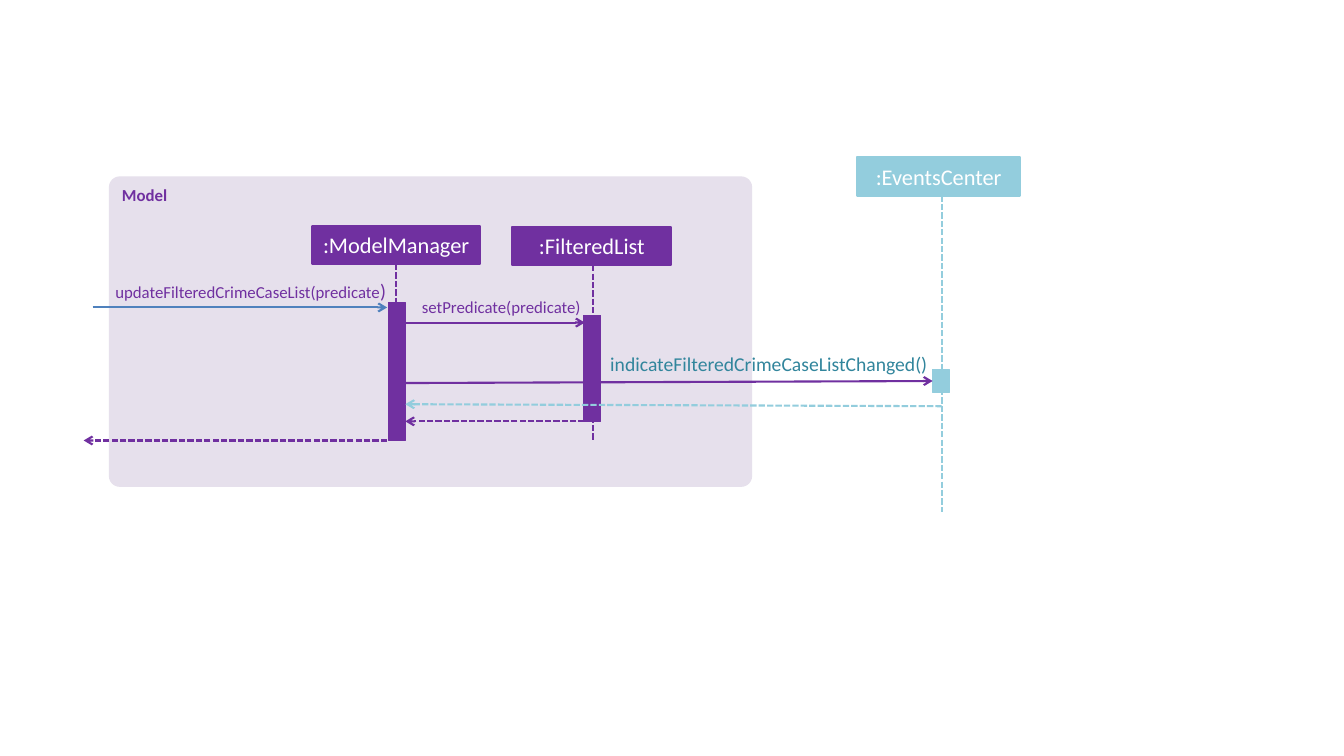
import pptx
import pptx.util
import pptx.dml.color
import pptx.enum.dml
import pptx.enum.shapes
import pptx.enum.text
import pptx.oxml.ns
import lxml.etree

PX = 9144
COLORS = {
    "panel": "E6E0EC",
    "model": "7030A0",
    "events": "93CDDD",
    "event_text": "31859C",
    "caller": "4F81BD",
    "white": "FFFFFF",
}
SHAPE = pptx.enum.shapes.MSO_SHAPE
ALIGN = pptx.enum.text.PP_ALIGN
ANCHOR = pptx.enum.text.MSO_ANCHOR


def px(*lengths):
    """Turn px lengths into EMU."""
    return [pptx.util.Emu(n * PX) for n in lengths]


def rgb(name):
    """Look up a named colour."""
    return pptx.dml.color.RGBColor.from_string(COLORS[name])


def write(sp, text, size=12, color="model", bold=False, align=ALIGN.LEFT, anchor=ANCHOR.TOP):
    """Append a formatted run to the first paragraph of a shape."""
    tf = sp.text_frame
    tf.word_wrap = True
    tf.vertical_anchor = anchor
    p = tf.paragraphs[0]
    p.alignment = align
    r = p.add_run()
    r.text = text
    r.font.name = "Calibri"
    r.font.size = pptx.util.Pt(size)
    r.font.bold = bold
    r.font.color.rgb = rgb(color)


def add_block(s, box, fill, width=None, kind=SHAPE.RECTANGLE):
    """Add a filled shape, outlined in its own colour if a width is given."""
    sp = s.shapes.add_shape(kind, *px(*box))
    sp.shadow.inherit = False
    sp.fill.solid()
    sp.fill.fore_color.rgb = rgb(fill)
    if width is None:
        sp.line.fill.background()
    else:
        sp.line.color.rgb = rgb(fill)
        sp.line.width = pptx.util.Pt(width)
    return sp


def add_line(s, start, end, color, dashed=False, arrow=True):
    """Add a line from start to end, with an arrowhead at the end by default."""
    line = s.shapes.add_connector(pptx.enum.shapes.MSO_CONNECTOR.STRAIGHT, *px(*start, *end))
    line.line.color.rgb = rgb(color)
    line.line.width = pptx.util.Pt(1.5)
    if dashed:
        line.line.dash_style = pptx.enum.dml.MSO_LINE.SQUARE_DOT
    qn = pptx.oxml.ns.qn
    props = line._element.spPr
    if arrow:
        lxml.etree.SubElement(props.find(qn("a:ln")), qn("a:tailEnd"), type="arrow")
    lxml.etree.SubElement(props, qn("a:effectLst"))


def add_label(s, box, *runs, color="model"):
    """Add a right-aligned message label made of (text, size) runs."""
    sp = s.shapes.add_textbox(*px(*box))
    tf = sp.text_frame
    tf.margin_left = tf.margin_right = tf.margin_top = tf.margin_bottom = 0
    tf.auto_size = pptx.enum.text.MSO_AUTO_SIZE.SHAPE_TO_FIT_TEXT
    for text, size in runs:
        write(sp, text, size=size, color=color, align=ALIGN.RIGHT)


def add_participant(s, box, name, color, life, bar):
    """Draw a participant head with its lifeline and activation bar."""
    x, y, w, h = box
    life_x, life_end = life
    bar_x, bar_y, bar_h = bar
    head = add_block(s, box, color, 1.5)
    write(head, name, size=16, color="white", align=ALIGN.CENTER, anchor=ANCHOR.MIDDLE)
    add_line(s, (x + life_x, y + h), (x + life_x, y + life_end), color, dashed=True, arrow=False)
    add_block(s, (x + bar_x, y + bar_y, 17, bar_h), color, 0.75)


def add_model(s, box):
    """Draw the Model panel and its two participants."""
    x, y, w, h = box
    panel = add_block(s, box, "panel", kind=SHAPE.ROUNDED_RECTANGLE)
    panel.adjustments[0] = 0.035
    write(panel, "Model", bold=True)
    add_participant(s, (x + 202, y + 49, 166, 38), ":ModelManager", "model", (83, 213), (75, 76, 137))
    add_participant(s, (x + 400, y + 50, 158, 38), ":FilteredList", "model", (80, 212), (71, 88, 105))


def add_messages(s, box):
    """Draw the calls, returns and labels between the participants."""
    x, y, w, h = box
    manager_left, manager, filtered = x + 301, x + 319, x + 497
    events_left, events = x + 842, x + 851
    messages = [
        ((x + 9, y), (manager_left, y), "caller", False),
        ((manager, y + 15), (filtered, y + 15), "model", False),
        ((manager, y + 75), (events_left, y + 73), "model", False),
        ((events, y + 98), (manager, y + 96), "events", True),
        ((filtered, y + 113), (manager, y + 113), "model", True),
        ((manager_left, y + h), (x, y + h), "model", True),
    ]
    for start, end, color, dashed in messages:
        add_line(s, start, end, color, dashed=dashed)
    add_label(s, (x + 17, y - 28, 283, 24), ("updateFilteredCrimeCaseList(predicate", 12), (")", 14))
    add_label(s, (x + 305, y - 11, 188, 20), ("setPredicate(predicate)", 12))
    add_label(s, (x + 504, y + 44, 333, 24), ("indicateFilteredCrimeCaseListChanged()", 14), color="event_text")


def main():
    """Build the sequence diagram slide."""
    prs = pptx.Presentation()
    prs.slide_width, prs.slide_height = px(1333, 750)
    s = prs.slides.add_slide(prs.slide_layouts[6])
    add_model(s, (108, 175, 638, 308))
    add_participant(s, (850, 156, 162, 38), ":EventsCenter", "events", (84, 352), (75, 211, 22))
    add_messages(s, (83, 305, 851, 132))
    prs.save("out.pptx")


if __name__ == "__main__":
    main()
